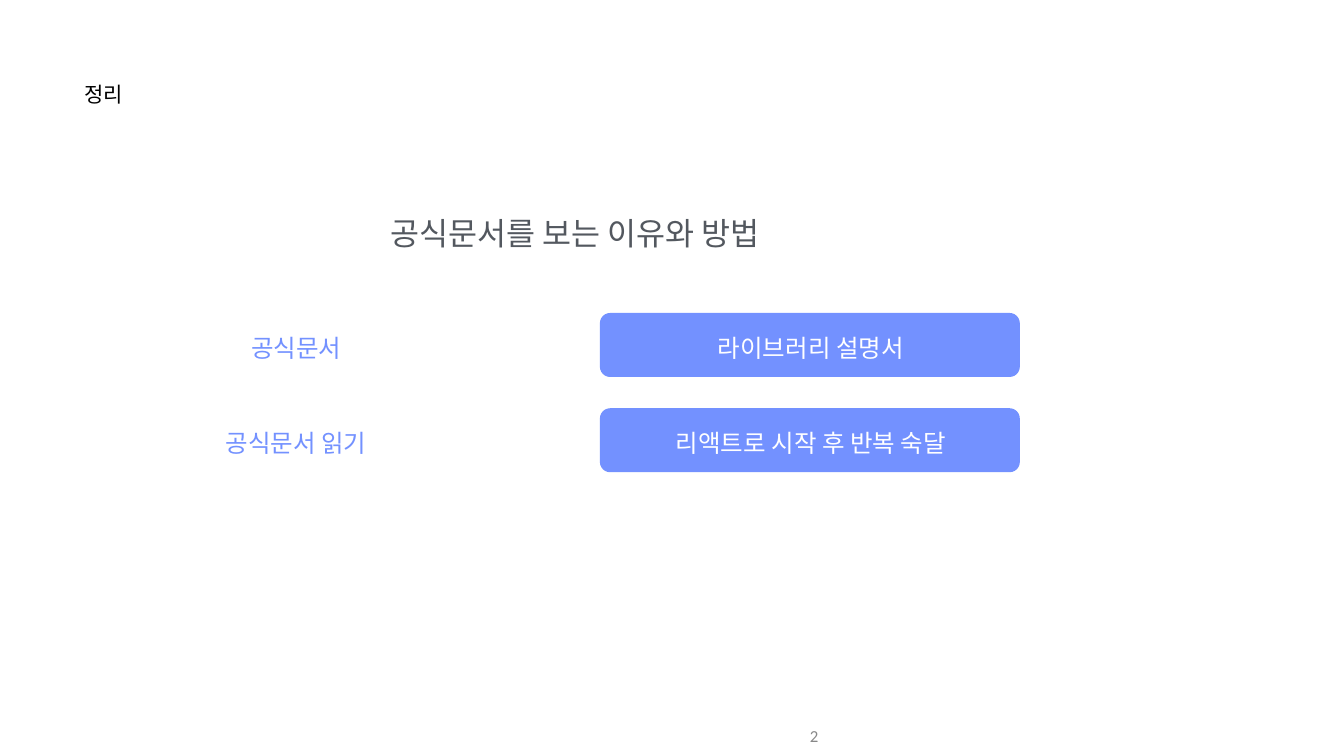
from pptx import Presentation, util as u
from pptx.dml.color import RGBColor
from pptx.enum import shapes, text

BLACK = RGBColor(0x00, 0x00, 0x00)
SLATE = RGBColor(0x53, 0x58, 0x5F)
GRAY = RGBColor(0x88, 0x88, 0x88)
BLUE = RGBColor(0x73, 0x91, 0xFF)
WHITE = RGBColor(0xFF, 0xFF, 0xFF)

LEFT, CENTER, RIGHT = text.PP_ALIGN.LEFT, text.PP_ALIGN.CENTER, text.PP_ALIGN.RIGHT
TOP, MIDDLE = text.MSO_ANCHOR.TOP, text.MSO_ANCHOR.MIDDLE

TERM_LEFT, TERM_WIDTH = 2.75, 6.25
ANSWER_LEFT, ANSWER_WIDTH = 11.9, 8.33
ROW_TOP, ROW_PITCH, ROW_HEIGHT = 6.21, 1.89, 1.27
LABEL_OFFSET, LABEL_HEIGHT = 0.38, 0.62

ROWS = [
    ("공식문서", "라이브러리 설명서"),
    ("공식문서 읽기", "리액트로 시작 후 반복 숙달"),
]


def inches(*lengths):
    return [u.Inches(n) for n in lengths]


def add_text(s, box, words, size, color, align=CENTER, anchor=TOP,
             font="Arial", insets=(0.01, 0.01)):
    """Add one line of text; insets are (horizontal, vertical) in inches."""
    tf = s.shapes.add_textbox(*inches(*box)).text_frame
    tf.word_wrap = True
    tf.vertical_anchor = anchor
    tf.margin_left = tf.margin_right = u.Inches(insets[0])
    tf.margin_top = tf.margin_bottom = u.Inches(insets[1])
    p = tf.paragraphs[0]
    p.text = words
    p.alignment = align
    p.font.name = font
    p.font.size = u.Pt(size)
    p.font.color.rgb = color


def add_panel(s, box):
    sp = s.shapes.add_shape(shapes.MSO_SHAPE.ROUNDED_RECTANGLE, *inches(*box))
    sp.adjustments[0] = 0.16
    sp.shadow.inherit = False
    sp.fill.solid()
    sp.fill.fore_color.rgb = BLUE
    sp.line.fill.background()


def add_row(s, row, term, answer):
    """Add a term on the left and its answer on a panel on the right."""
    top = ROW_TOP + row * ROW_PITCH
    label_top = top + LABEL_OFFSET
    add_panel(s, (ANSWER_LEFT, top, ANSWER_WIDTH, ROW_HEIGHT))
    add_text(s, (TERM_LEFT, label_top, TERM_WIDTH, LABEL_HEIGHT),
             term, 35, BLUE, anchor=MIDDLE)
    add_text(s, (ANSWER_LEFT + 0.02, label_top, ANSWER_WIDTH, LABEL_HEIGHT),
             answer, 35, WHITE, anchor=MIDDLE)


def main():
    prs = Presentation()
    prs.slide_width, prs.slide_height = inches(26.66, 15)
    s = prs.slides.add_slide(prs.slide_layouts[6])

    add_text(s, (1.67, 1.6, 4.86, 1.18), "정리", 30, BLACK, LEFT)
    add_text(s, (2.64, 4.24, 17.54, 0.79), "공식문서를 보는 이유와 방법", 45, SLATE)
    add_text(s, (10.33, 14.21, 6, 0.79), "2", 24, GRAY, RIGHT, MIDDLE,
             "Calibri", (0.1, 0.05))
    for row, (term, answer) in enumerate(ROWS):
        add_row(s, row, term, answer)

    prs.save("out.pptx")


if __name__ == "__main__":
    main()
